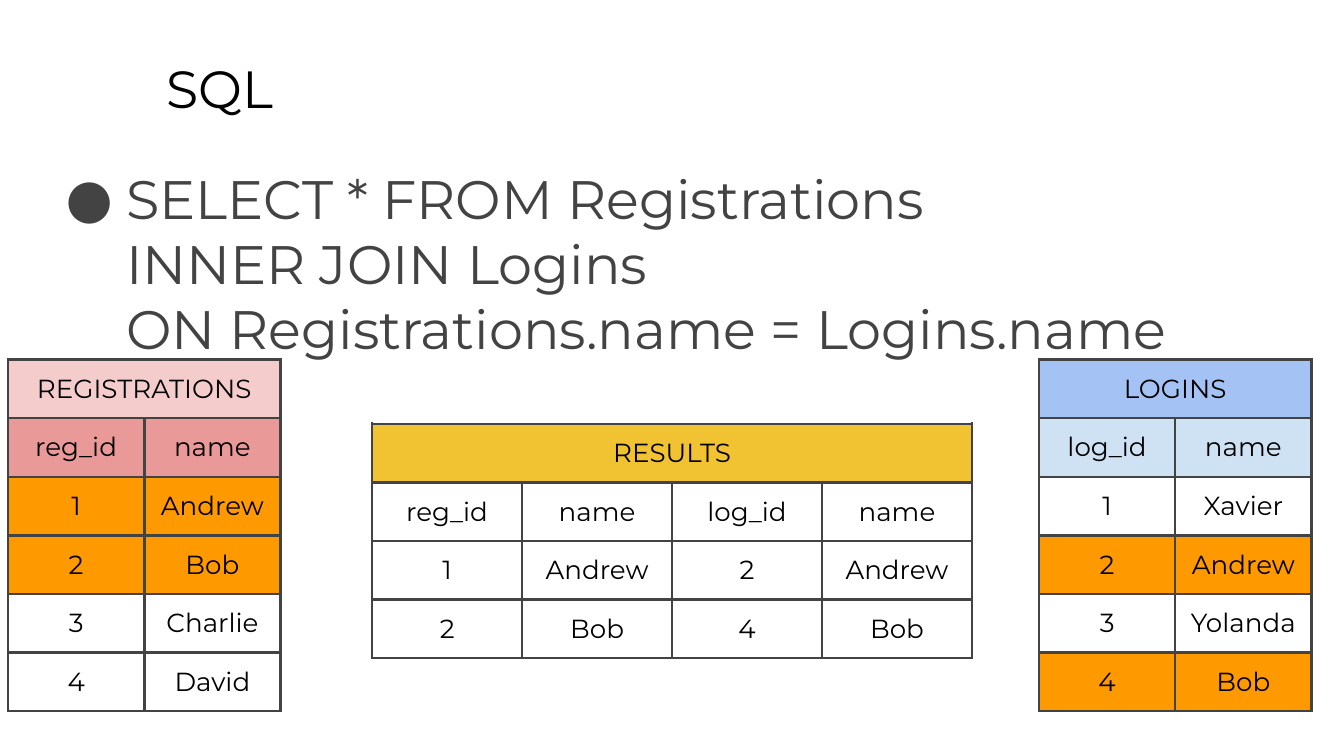
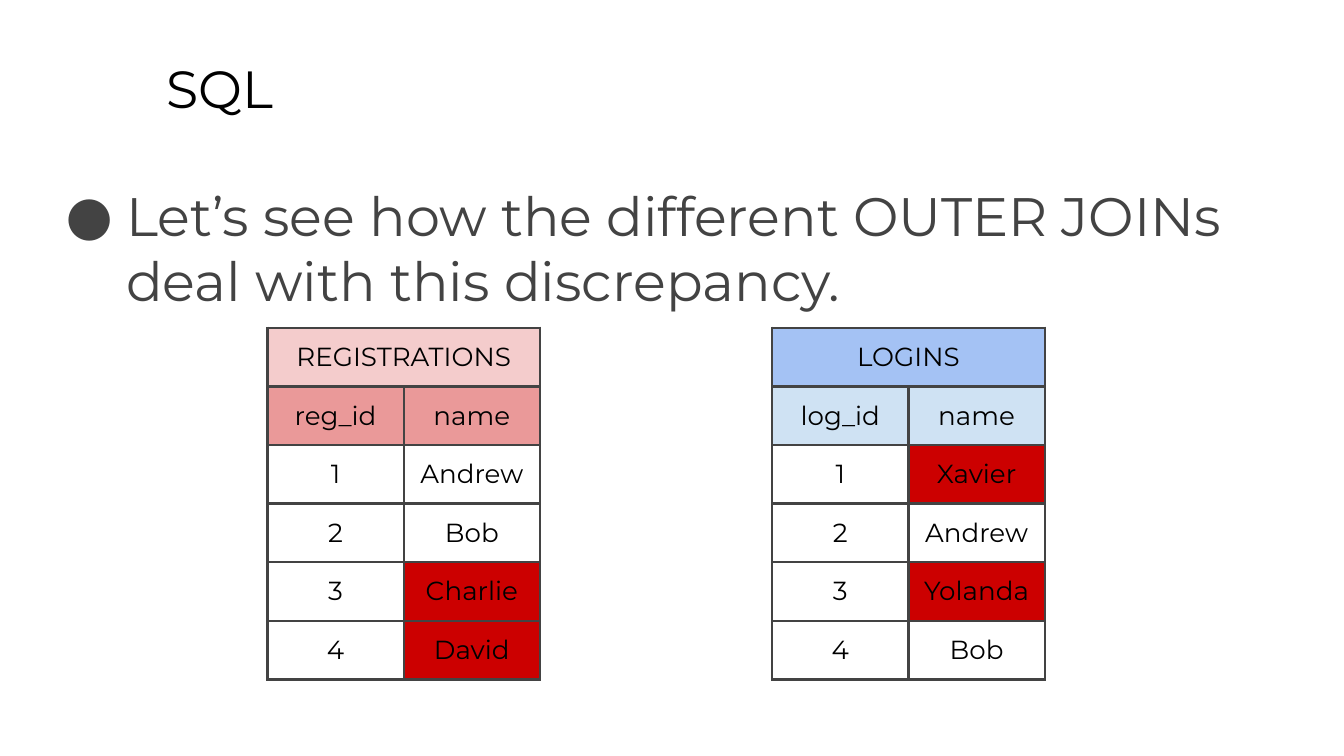
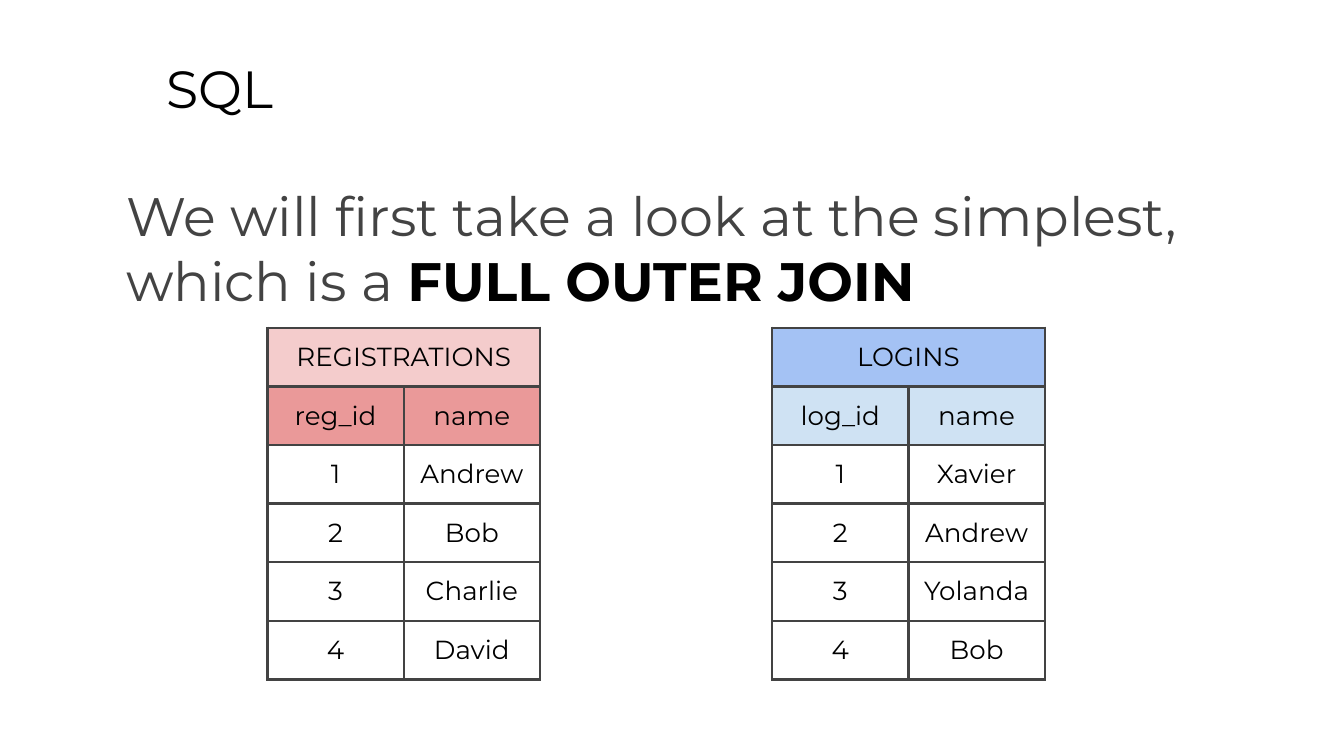
import pptx
import pptx.util
import pptx.dml.color
import pptx.enum.text
import pptx.oxml
import pptx.oxml.ns

Pt = pptx.util.Pt
TOP = pptx.enum.text.MSO_ANCHOR.TOP
CENTER = pptx.enum.text.PP_ALIGN.CENTER

BLACK = "000000"
GRAY = "434343"
ORANGE = "FF9900"
RED = "CC0000"
INSET = Pt(7.2)
ROW_HEIGHT = 31.4

MARGINS = {side: INSET for side in
           ("margin_left", "margin_top", "margin_right", "margin_bottom")}
FRAME_FORMAT = {**MARGINS, "word_wrap": True, "vertical_anchor": TOP}
CELL_FORMAT = {**MARGINS, "vertical_anchor": TOP}
TITLE_FONT = {"name": "Montserrat", "size": Pt(28), "bold": False}
BODY_FONT = {**TITLE_FONT, "size": Pt(29)}
STRONG_FONT = {**BODY_FONT, "bold": True}
CELL_FONT = {**TITLE_FONT, "size": Pt(14)}
PLAIN_TABLE = {"first_row": False, "horz_banding": False}

REGISTRATIONS = {
    "heading": "REGISTRATIONS", "heading_fill": "F4CCCC", "field_fill": "EA9999",
    "column_width": 73,
    "rows": [("reg_id", "name"), ("1", "Andrew"), ("2", "Bob"),
             ("3", "Charlie"), ("4", "David")],
}
LOGINS = {
    "heading": "LOGINS", "heading_fill": "A4C2F4", "field_fill": "CFE2F3",
    "column_width": 73,
    "rows": [("log_id", "name"), ("1", "Xavier"), ("2", "Andrew"),
             ("3", "Yolanda"), ("4", "Bob")],
}
RESULTS = {
    "heading": "RESULTS", "heading_fill": "F1C232", "field_fill": None,
    "column_width": 80.35,
    "rows": [("reg_id", "name", "log_id", "name"),
             ("1", "Andrew", "2", "Andrew"), ("2", "Bob", "4", "Bob")],
}
MATCHED = {"Andrew", "Bob"}
UNMATCHED = {"Charlie", "David", "Xavier", "Yolanda"}


def color(hex_value):
    return pptx.dml.color.RGBColor.from_string(hex_value)


def apply_format(target, values):
    for attribute, value in values.items():
        setattr(target, attribute, value)


def add_run(paragraph, wording, font_format, hex_value):
    run = paragraph.add_run()
    run.text = wording
    apply_format(run.font, font_format)
    run.font.color.rgb = color(hex_value)


def add_frame(slide, left, top, width, height):
    frame = slide.shapes.add_textbox(Pt(left), Pt(top), Pt(width), Pt(height)).text_frame
    apply_format(frame, FRAME_FORMAT)
    return frame


def set_indent(paragraph, bulleted):
    properties = paragraph._p.get_or_add_pPr()
    properties.set("marL", str(Pt(36)))
    properties.set("indent", str(Pt(-32.4) if bulleted else 0))
    if bulleted:
        namespace = pptx.oxml.ns.nsdecls("a")
        for bullet_part in (
            f'<a:buClr {namespace}><a:srgbClr val="{GRAY}"/></a:buClr>',
            f'<a:buFont {namespace} typeface="Montserrat"/>',
            f'<a:buChar {namespace} char="●"/>',
        ):
            properties.append(pptx.oxml.parse_xml(bullet_part))


def add_body(slide, top, lines, bulleted=True, emphasis=None):
    frame = add_frame(slide, 24.5, top, 684, 269)
    for number, line in enumerate(lines):
        paragraph = frame.add_paragraph() if number else frame.paragraphs[0]
        set_indent(paragraph, bulleted and number == 0)
        add_run(paragraph, line, BODY_FONT, GRAY)
    if emphasis:
        add_run(paragraph, emphasis, STRONG_FONT, BLACK)
        paragraph.space_after = Pt(16)


def set_borders(cell):
    properties = cell._tc.get_or_add_tcPr()
    for position, side in enumerate(("lnL", "lnR", "lnT", "lnB")):
        properties.insert(position, pptx.oxml.parse_xml(
            f'<a:{side} {pptx.oxml.ns.nsdecls("a")} w="{Pt(1.5)}"><a:solidFill>'
            f'<a:srgbClr val="{GRAY}"/></a:solidFill></a:{side}>'))


def style_cell(cell, fill):
    if fill:
        cell.fill.solid()
        cell.fill.fore_color.rgb = color(fill)
    else:
        cell.fill.background()
    apply_format(cell, CELL_FORMAT)
    set_borders(cell)


def write_cell(cell, wording):
    paragraph = cell.text_frame.paragraphs[0]
    paragraph.alignment = CENTER
    add_run(paragraph, wording, CELL_FONT, BLACK)


def add_relation(slide, relation, left, top, marked=(), mark_fill=None, whole_row=False):
    rows = relation["rows"]
    width = len(rows[0])
    grid = slide.shapes.add_table(
        len(rows) + 1, width, Pt(left), Pt(top),
        Pt(width * relation["column_width"]), Pt((len(rows) + 1) * ROW_HEIGHT)).table
    apply_format(grid, PLAIN_TABLE)
    for column in range(width):
        style_cell(grid.cell(0, column), relation["heading_fill"])
    grid.cell(0, 0).merge(grid.cell(0, width - 1))
    write_cell(grid.cell(0, 0), relation["heading"])
    for number, row in enumerate(rows, 1):
        for column, value in enumerate(row):
            fill = relation["field_fill"] if number == 1 else None
            if value in marked or (whole_row and marked.intersection(row)):
                fill = mark_fill
            style_cell(grid.cell(number, column), fill)
            write_cell(grid.cell(number, column), value)


def add_relation_pair(slide, lefts, top, **marking):
    for relation, left in zip((REGISTRATIONS, LOGINS), lefts):
        add_relation(slide, relation, left, top, **marking)


def add_sql_slide(deck):
    slide = deck.slides.add_slide(deck.slide_layouts[6])
    slide.background.fill.solid()
    slide.background.fill.fore_color.rgb = color("FFFFFF")
    title = add_frame(slide, 82, 23, 613.5, 45.4)
    add_run(title.paragraphs[0], "SQL", TITLE_FONT, BLACK)
    return slide


def main():
    deck = pptx.Presentation()
    apply_format(deck, {"slide_width": Pt(720), "slide_height": Pt(405)})

    inner_join = add_sql_slide(deck)
    add_body(inner_join, 81.4, ["SELECT * FROM Registrations", "INNER JOIN Logins",
                                "ON Registrations.name = Logins.name"])
    add_relation_pair(inner_join, (4.3, 556.6), 192.7,
                      marked=MATCHED, mark_fill=ORANGE, whole_row=True)
    add_relation(inner_join, RESULTS, 199.4, 227)

    discrepancy = add_sql_slide(deck)
    add_body(discrepancy, 90.7,
             ["Let’s see how the different OUTER JOINs deal with this discrepancy."])
    add_relation_pair(discrepancy, (143.3, 413.7), 175.7, marked=UNMATCHED, mark_fill=RED)

    full_outer_join = add_sql_slide(deck)
    add_body(full_outer_join, 90.7,
             ["We will first take a look at the simplest, which is a "],
             bulleted=False, emphasis="FULL OUTER JOIN")
    add_relation_pair(full_outer_join, (143.3, 413.7), 175.7)

    deck.save("out.pptx")


if __name__ == "__main__":
    main()
